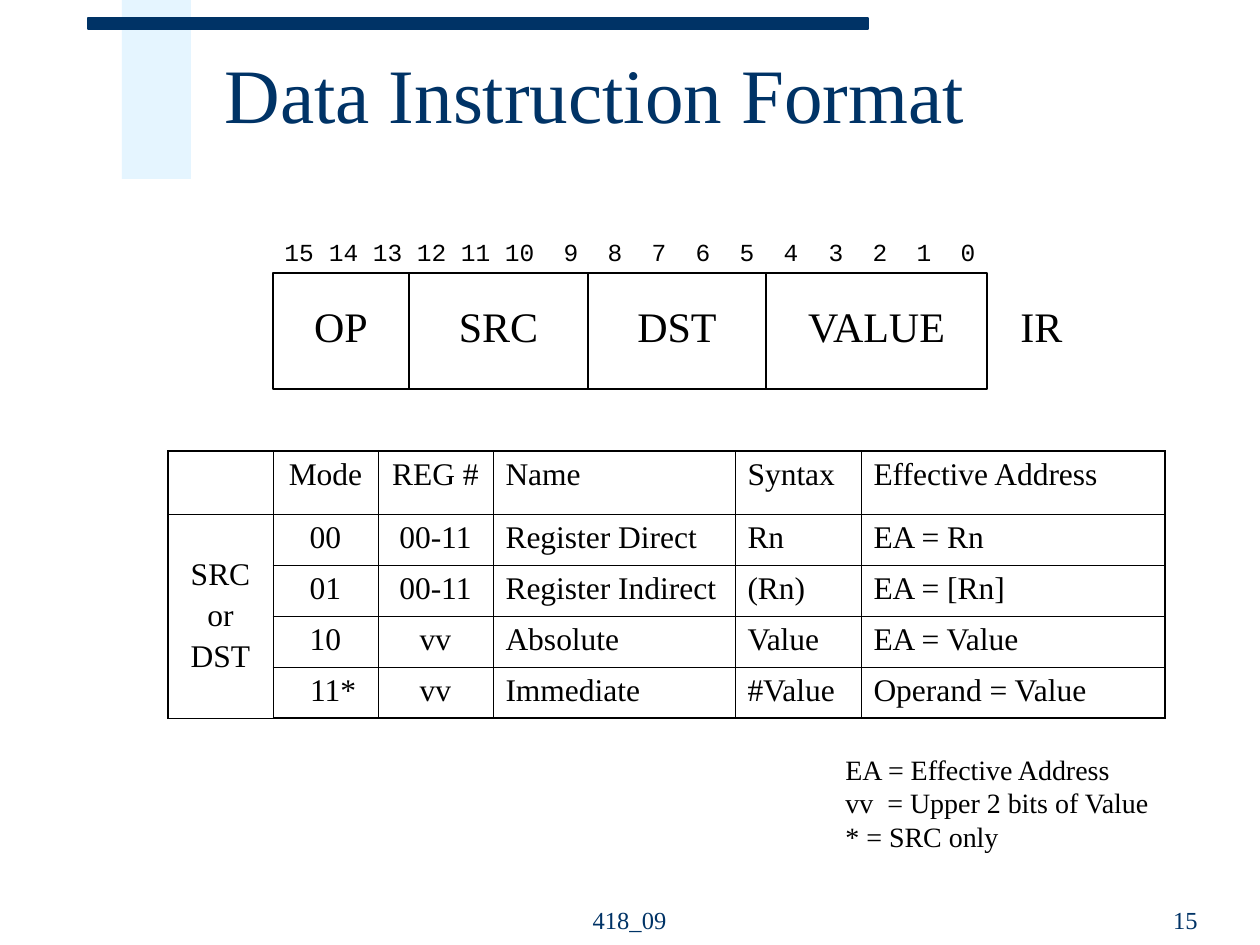
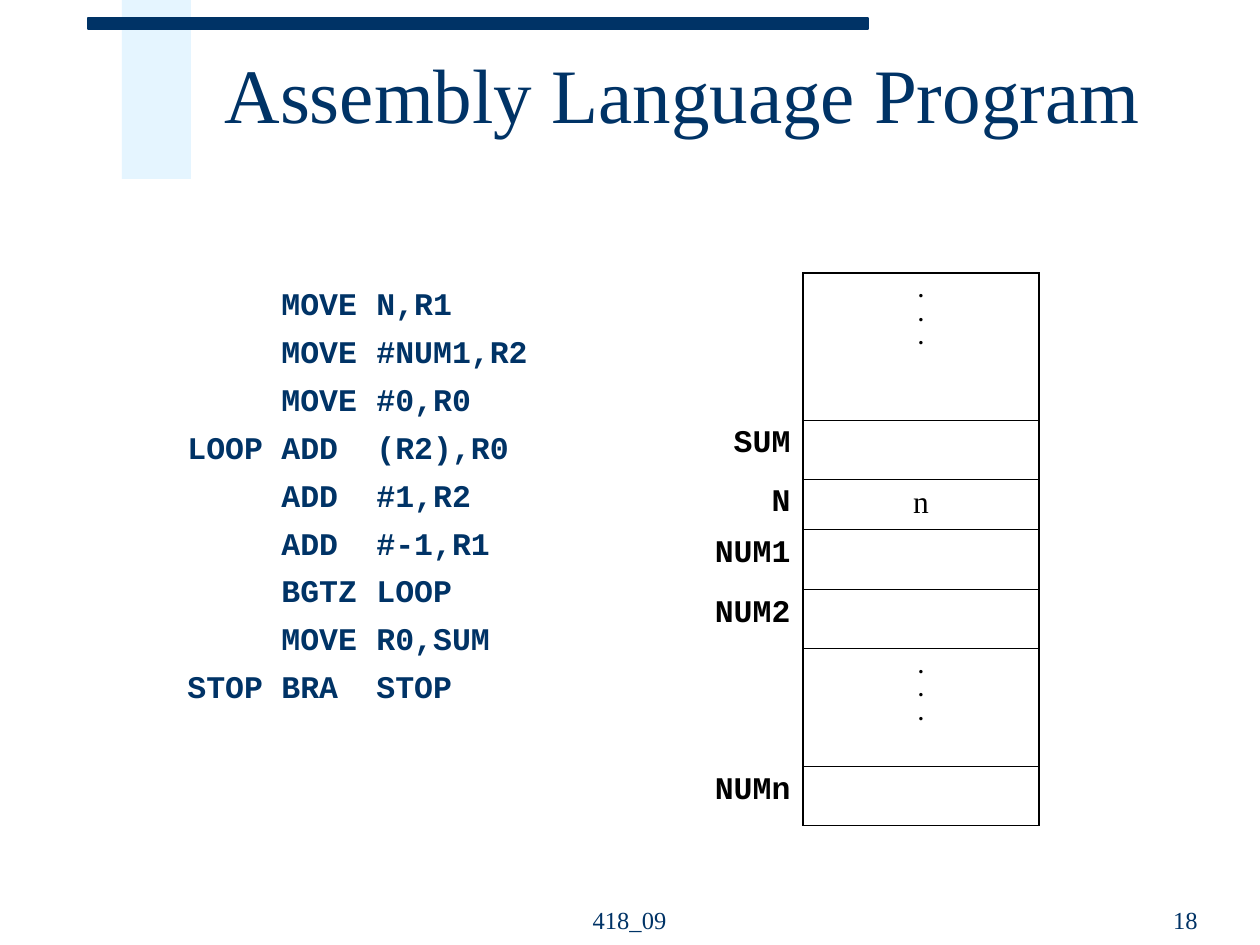
from dataclasses import dataclass
from itertools import accumulate

from lxml import etree
from pptx import Presentation
from pptx import util as u
from pptx.dml.color import RGBColor
from pptx.enum import shapes, text
from pptx.oxml import ns

PX_PER_INCH = 126
LEFT, CENTER, RIGHT = text.PP_ALIGN.LEFT, text.PP_ALIGN.CENTER, text.PP_ALIGN.RIGHT
TOP, MIDDLE, BOTTOM = (text.MSO_ANCHOR.TOP, text.MSO_ANCHOR.MIDDLE,
                       text.MSO_ANCHOR.BOTTOM)


@dataclass(frozen=True)
class Theme:
    navy: str = "003366"
    pale: str = "CCECFF"
    black: str = "000000"
    white: str = "FFFFFF"
    serif: str = "Times New Roman"
    mono: str = "Courier New"
    title: int = 44
    field: int = 24
    body: int = 18
    legend: int = 16
    small: int = 14
    dots: int = 12
    outer_line: float = 1.08
    inner_line: float = 0.45


THEME = Theme()


@dataclass(frozen=True)
class Style:
    size: int = THEME.body
    font: str = THEME.serif
    color: str = THEME.black
    bold: bool = False
    align: int = LEFT
    gap: float = 0
    spacing: float = 1.0


def px(length):
    return u.Emu(round(length * 914400 / PX_PER_INCH))


def rgb(color):
    return RGBColor.from_string(color)


def add_child(parent, tag, **attributes):
    return etree.SubElement(parent, ns.qn(tag), attributes)


# Text
def write(frame, content, style, tabs=(), tab_align="l"):
    """Fill a text frame, one paragraph a line; gap goes between paragraphs."""
    for index, line in enumerate(content.split("\n")):
        para = frame.add_paragraph() if index else frame.paragraphs[0]
        para.text = line
        para.alignment = style.align
        para.line_spacing = style.spacing
        para.space_before = u.Pt(style.gap if index else 0)
        para.font.size = u.Pt(style.size)
        para.font.name = style.font
        para.font.bold = style.bold
        para.font.color.rgb = rgb(style.color)
        if tabs:
            stops = etree.Element(ns.qn("a:tabLst"))
            for stop in tabs:
                add_child(stops, "a:tab", pos=str(px(stop)), algn=tab_align)
            para.font._element.addprevious(stops)


def add_text(page, x, y, width, height, content, style, anchor=TOP, **tabs):
    box = page.shapes.add_textbox(px(x), px(y), px(width), px(height))
    frame = box.text_frame
    frame.word_wrap = True
    frame.vertical_anchor = anchor
    write(frame, content, style, **tabs)


# Shapes and lines
def add_rect(page, x, y, width, height, fill, line=None, weight=1.0, alpha=None):
    rect = page.shapes.add_shape(shapes.MSO_SHAPE.RECTANGLE,
                                 px(x), px(y), px(width), px(height))
    rect.shadow.inherit = False
    rect.fill.solid()
    rect.fill.fore_color.rgb = rgb(fill)
    if alpha:
        color = rect._element.spPr.find(".//" + ns.qn("a:srgbClr"))
        add_child(color, "a:alpha", val=str(alpha * 1000))
    if line:
        rect.line.color.rgb = rgb(line)
        rect.line.width = u.Pt(weight)
    else:
        rect.line.fill.background()


def add_divider(page, x, top, bottom):
    line = page.shapes.add_connector(shapes.MSO_CONNECTOR.STRAIGHT,
                                     px(x), px(top), px(x), px(bottom))
    line.line.color.rgb = rgb(THEME.black)
    line.line.width = u.Pt(1)
    add_child(line._element.spPr, "a:effectLst")


# Tables
def set_borders(cell, widths):
    """Draw the left, right, top and bottom borders; width 0 means no line."""
    properties = cell._tc.get_or_add_tcPr()
    for side, width in zip("LRTB", widths):
        line = add_child(properties, f"a:ln{side}", w=str(u.Pt(width)))
        if width:
            fill = add_child(line, "a:solidFill")
            add_child(fill, "a:srgbClr", val=THEME.black)
        else:
            add_child(line, "a:noFill")


def add_grid(page, x, y, columns, rows, first_ruled=0):
    """Add a plain table, ruled from column first_ruled to the last."""
    table = page.shapes.add_table(len(rows), len(columns), px(x), px(y),
                                  px(sum(columns)), px(sum(rows))).table
    table.first_row = table.horz_banding = False
    for column, width in zip(table.columns, columns):
        column.width = px(width)
    for row, height in zip(table.rows, rows):
        row.height = px(height)

    def weight(is_outer):
        return THEME.outer_line if is_outer else THEME.inner_line

    for r in range(len(rows)):
        for c in range(len(columns)):
            cell = table.cell(r, c)
            if c >= first_ruled:
                set_borders(cell, (weight(c == first_ruled),
                                   weight(c == len(columns) - 1),
                                   weight(r == 0), weight(r == len(rows) - 1)))
            else:
                right = THEME.outer_line if c == first_ruled - 1 else 0
                set_borders(cell, (0, right, 0, 0))
            cell.fill.background()
    return table


# What the slides share
def add_page(deck, title, number):
    page = deck.slides.add_slide(deck.slide_layouts[6])
    add_rect(page, 122, 0, 69, 179, THEME.pale, alpha=50)
    add_rect(page, 88, 18, 780, 11, THEME.navy, line=THEME.navy, weight=0.75)
    add_text(page, 212, 21, 1017, 158, title,
             Style(THEME.title, color=THEME.navy, spacing=0.85), MIDDLE)
    for x, width, content, align in ((514, 231, "418_09", CENTER),
                                     (908, 302, str(number), RIGHT)):
        add_text(page, x, 878, width, 63, content,
                 Style(THEME.small, color=THEME.navy, align=align), BOTTOM)
    return page


# Instruction register diagram
def add_register(page):
    top, height = 273, 116
    bounds = (273, 409, 588, 766, 987)
    add_rect(page, bounds[0], top, bounds[-1] - bounds[0], height,
             THEME.white, line=THEME.black)
    bit_ends = [round(29.4 + 44.1 * i) for i in range(1, 16)]
    add_text(page, 272, 231, 740, 43, "\t".join(map(str, range(15, -1, -1))),
             Style(THEME.small, THEME.mono), tabs=bit_ends, tab_align="r")
    for x in bounds[1:-1]:
        add_divider(page, x, top, top + height)
    field = Style(THEME.field, align=CENTER)
    for name, start, end in zip(("OP", "SRC", "DST", "VALUE"), bounds, bounds[1:]):
        add_text(page, start, 294, end - start, 63, name, field)
    add_text(page, 1008, 294, 80, 63, "IR", Style(THEME.field))


def add_modes(page):
    entries = (
        ("", "Mode", "REG #", "Name", "Syntax", "Effective Address"),
        ("SRC\nor\nDST", "00", "00-11", "Register Direct", "Rn", "EA = Rn"),
        ("", "01", "00-11", "Register Indirect", "(Rn)", "EA = [Rn]"),
        ("", "10", "vv", "Absolute", "Value", "EA = Value"),
        ("", "11*", "vv", "Immediate", "#Value", "Operand = Value"),
    )
    table = add_grid(page, 168, 451, (105, 105, 115, 242, 126, 304),
                     [63] + [51] * 4)
    for r, row in enumerate(entries):
        for c, content in enumerate(row):
            if content:
                write(table.cell(r, c).text_frame, content,
                      Style(align=CENTER if c < 3 else LEFT, gap=3.6))
    side = table.cell(1, 0)
    side.merge(table.cell(4, 0))
    side.vertical_anchor = MIDDLE
    # Keep the digits of the starred mode in line with those above
    table.cell(4, 1).margin_left = px(28)


# Assembly listing and memory map
def add_listing(page):
    lines = (
        "\tMOVE\tN,R1",
        "\tMOVE\t#NUM1,R2",
        "\tMOVE\t#0,R0",
        "LOOP\tADD\t(R2),R0",
        "\tADD\t#1,R2",
        "\tADD\t#-1,R1",
        "\tBGTZ\tLOOP",
        "\tMOVE\tR0,SUM",
        "STOP\tBRA\tSTOP",
    )
    add_text(page, 175, 278, 486, 562, "\n".join(lines),
             Style(font=THEME.mono, color=THEME.navy, bold=True, gap=5.75),
             tabs=(94, 189))


def add_memory(page):
    # Each block: label, content, heights of the rows it spans
    dots = ".\n.\n."
    blocks = (("", dots, (59, 88)), ("SUM", "", (59,)), ("N", "n", (50,)),
              ("NUM1", "", (60,)), ("NUM2", "", (59,)),
              ("", dots, (59, 59)), ("NUMn", "", (59,)))
    heights = [height for block in blocks for height in block[2]]
    starts = accumulate((len(block[2]) for block in blocks), initial=0)
    table = add_grid(page, 661, 273, (142, 236), heights, first_ruled=1)
    for row, (label, content, spanned) in zip(starts, blocks):
        cell = table.cell(row, 1)
        if len(spanned) > 1:
            cell.merge(table.cell(row + len(spanned) - 1, 1))
        if label:
            write(table.cell(row, 0).text_frame, label,
                  Style(font=THEME.mono, bold=True, align=RIGHT))
        if content:
            is_dots = content == dots
            write(cell.text_frame, content,
                  Style(THEME.dots if is_dots else THEME.body,
                        bold=is_dots, align=CENTER))


def main():
    deck = Presentation()
    deck.slide_width, deck.slide_height = px(1260), px(945)

    page = add_page(deck, "Data Instruction Format", 15)
    add_register(page)
    add_modes(page)
    add_text(page, 833, 746, 360, 113,
             "EA = Effective Address\nvv\t= Upper 2 bits of Value\n* = SRC only",
             Style(THEME.legend), tabs=(42,))

    page = add_page(deck, "Assembly Language Program", 18)
    add_memory(page)
    add_listing(page)

    deck.save("out.pptx")


if __name__ == "__main__":
    main()
